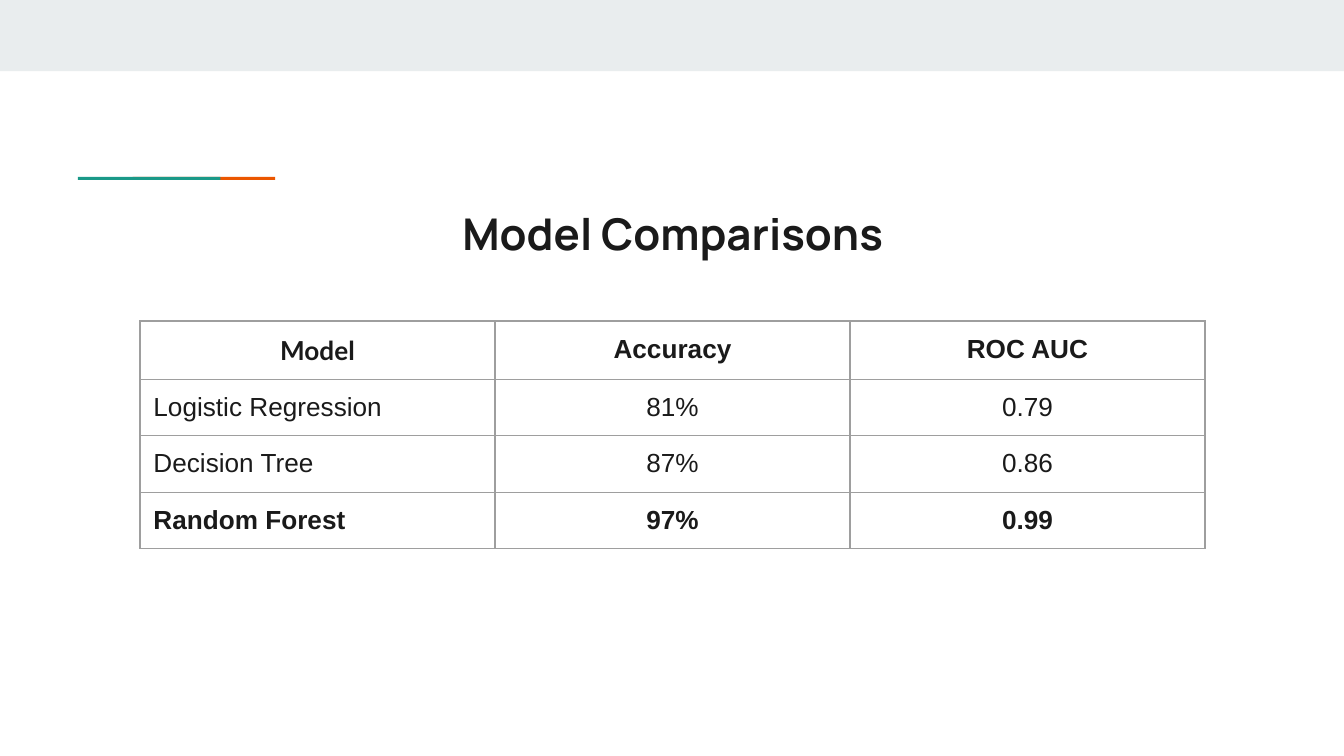
from lxml.etree import SubElement
from pptx import Presentation
from pptx.dml.color import RGBColor
from pptx.enum.shapes import MSO_SHAPE
from pptx.enum.text import MSO_ANCHOR, MSO_AUTO_SIZE, PP_ALIGN
from pptx.oxml.ns import qn
from pptx.util import Pt

# Content
TITLE = "Model Comparisons"
ROWS = [
    ("Model", "Accuracy", "ROC AUC"),
    ("Logistic Regression", "81%", "0.79"),
    ("Decision Tree", "87%", "0.86"),
    ("Random Forest", "97%", "0.99"),
]
BOLD_ROWS = (0, 3)
INK, GRID = "1A1A1A", "9E9E9E"
# Left, top, width, height, colour
BARS = [
    (0, 0, 720, 38.2, "E9EDEE"),
    (71.1, 94.8, 76.3, 1.6, "EB5600"),
    (41.8, 94.8, 76.3, 1.6, "1A9988"),
]
TABLE_LEFT, TABLE_TOP, COL_W, ROW_H = 75, 172, 190.2, 30.24
INSET = 7.2


def rgb(value):
    return RGBColor.from_string(value)


def write(tf, text, size=14, font="Arial", bold=False, align=PP_ALIGN.CENTER):
    p = tf.paragraphs[0]
    p.alignment = align
    r = p.add_run()
    r.text = text
    r.font.size, r.font.name, r.font.bold = Pt(size), font, bold
    r.font.color.rgb = rgb(INK)


def set_insets(box):
    box.margin_left = box.margin_right = Pt(INSET)
    box.margin_top = box.margin_bottom = Pt(INSET)


def add_borders(cell, color, width):
    tcPr = cell._tc.get_or_add_tcPr()
    for side in ("a:lnL", "a:lnR", "a:lnT", "a:lnB"):
        ln = SubElement(tcPr, qn(side), w=str(Pt(width)))
        fill = SubElement(ln, qn("a:solidFill"))
        SubElement(fill, qn("a:srgbClr"), val=color)


prs = Presentation()
prs.slide_width, prs.slide_height = Pt(720), Pt(405)
s = prs.slides.add_slide(prs.slide_layouts[5])

# Top band and accent line
for left, top, width, height, color in BARS:
    sp = s.shapes.add_shape(MSO_SHAPE.RECTANGLE, Pt(left), Pt(top), Pt(width), Pt(height))
    sp.shadow.inherit = False
    sp.fill.solid()
    sp.fill.fore_color.rgb = rgb(color)
    sp.line.fill.background()

# Title
title = s.shapes.title
title.left, title.top, title.width, title.height = Pt(57.6), Pt(103.7), Pt(605.5), Pt(42.5)
tf = title.text_frame
tf.word_wrap = True
tf.auto_size = MSO_AUTO_SIZE.NONE
tf.vertical_anchor = MSO_ANCHOR.TOP
set_insets(tf)
write(tf, TITLE, size=23.4, font="Manrope", bold=True)

# Comparison table
n_rows, n_cols = len(ROWS), len(ROWS[0])
table = s.shapes.add_table(n_rows, n_cols, Pt(TABLE_LEFT), Pt(TABLE_TOP),
                           Pt(COL_W * n_cols), Pt(ROW_H * n_rows)).table
table.first_row = table.horz_banding = False
for col in table.columns:
    col.width = Pt(COL_W)
for i, row in enumerate(ROWS):
    table.rows[i].height = Pt(ROW_H)
    for j, text in enumerate(row):
        cell = table.cell(i, j)
        set_insets(cell)
        add_borders(cell, GRID, 0.75)
        cell.fill.background()
        write(cell.text_frame, text, bold=i in BOLD_ROWS,
              font="Lato" if i == j == 0 else "Arial",
              align=PP_ALIGN.LEFT if i and not j else PP_ALIGN.CENTER)

prs.save("out.pptx")
